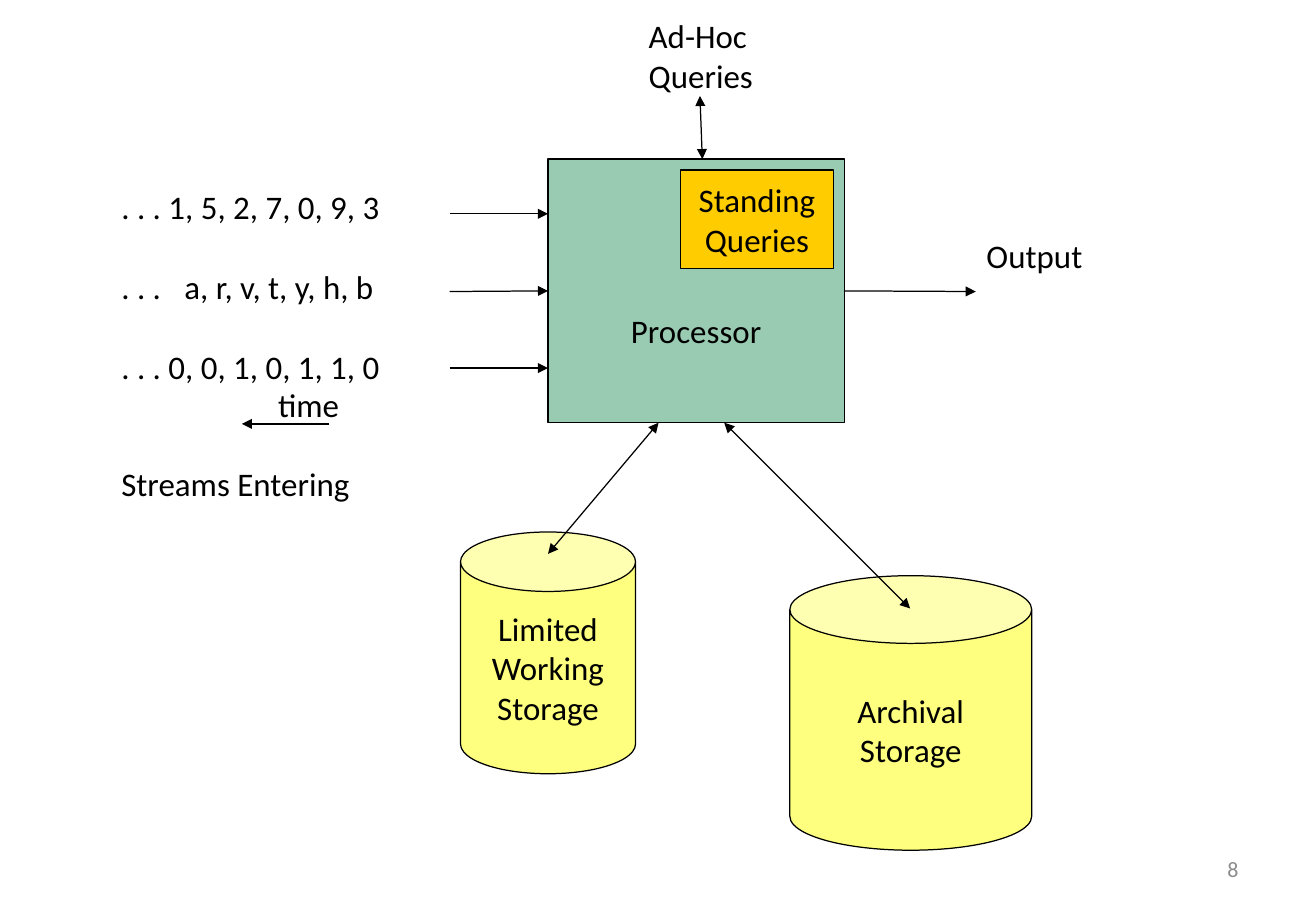
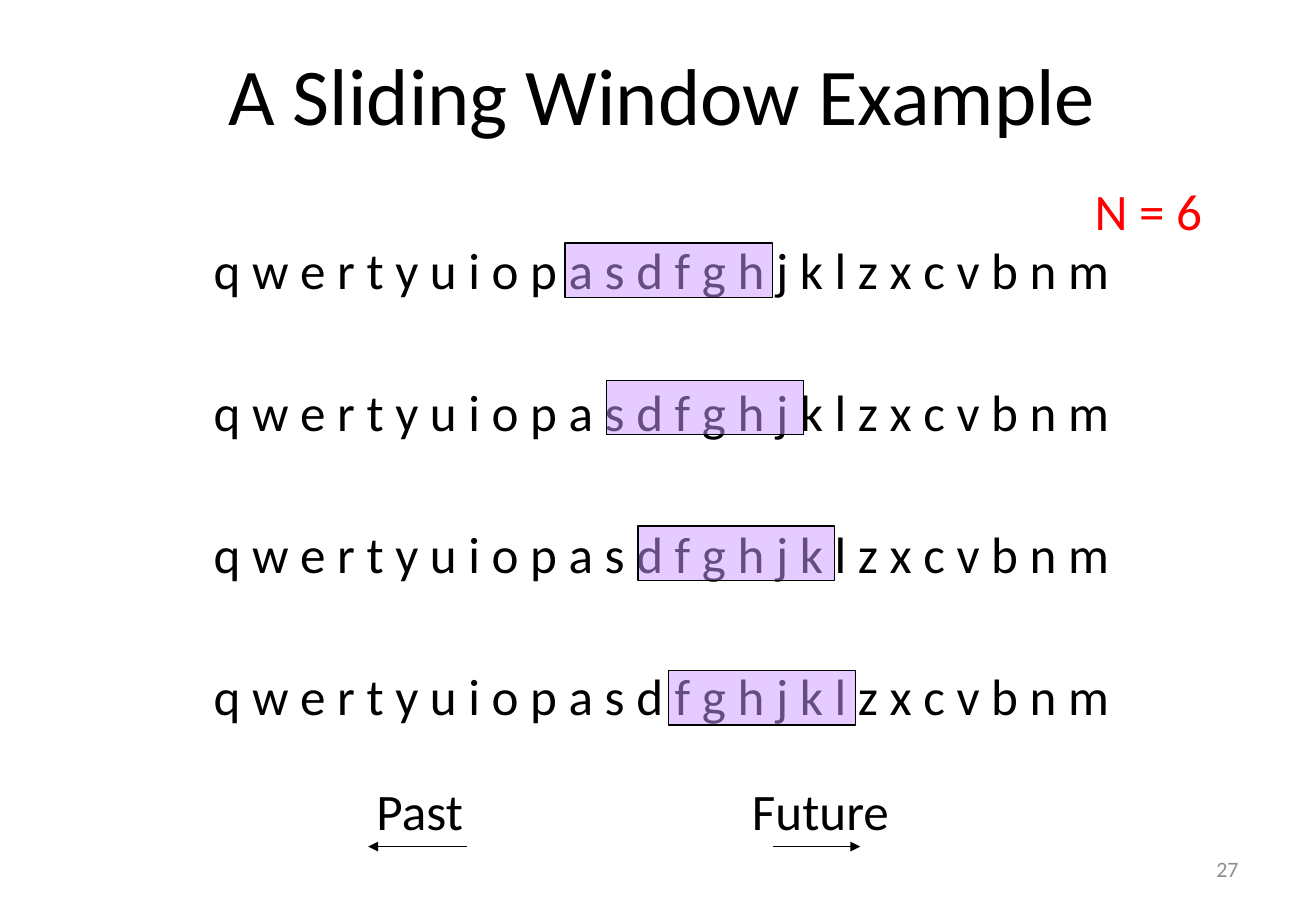
"""Build two slides on stream processing: the system model and a sliding window."""
from dataclasses import dataclass

from lxml.etree import SubElement
from pptx import Presentation
from pptx.dml.color import RGBColor
from pptx.enum.shapes import MSO_CONNECTOR, MSO_SHAPE
from pptx.enum.text import MSO_ANCHOR, PP_ALIGN
from pptx.oxml.ns import qn
from pptx.util import Inches, Pt


@dataclass(frozen=True)
class Theme:
    font: str = "Calibri"
    ink: str = "000000"
    muted: str = "8C8C8C"
    accent: str = "FF0000"
    processor: str = "339966"
    storage: str = "FFFF00"
    standing: str = "FFCC00"
    window: str = "CC99FF"
    title: float = 47.7
    letters: float = 30.3
    label: float = 19.5
    footer: float = 13
    line: float = 0.75


THEME = Theme()
SLIDE_SIZE = (10.83, 7.5)
NUMBER_AREA = (7.76, 6.95, 2.53, 0.4)

STREAMS = [". . . 1, 5, 2, 7, 0, 9, 3", ". . .\ta, r, v, t, y, h, b", ". . . 0, 0, 1, 0, 1, 1, 0"]
STREAM_AREA = (0.9, 1.49, 2.6, 1.75)
STREAM_GAP = 23.8
STREAM_TAB = 0.52
MODEL_LABELS = [
    (["time"], (2.19, 3.12, 0.9, 0.43)),
    (["Streams Entering"], (0.9, 3.77, 2.34, 0.43)),
    (["Ad-Hoc", "Queries"], (5.24, 0.08, 1.2, 0.76)),
    (["Output"], (8.02, 1.89, 1.2, 0.43)),
]
PROCESSOR_AREA = (4.51, 1.31, 2.44, 2.17)
STANDING_AREA = (5.6, 1.4, 1.26, 0.81)
STORES = [
    (["Limited", "Working", "Storage"], (3.79, 4.38, 1.44, 1.99), 0.34),
    (["Archival", "Storage"], (6.5, 4.74, 1.99, 2.26), 0.28),
]
STREAM_ARROW_LEFT = 3.7
STREAM_ARROW_TOPS = (1.76, 2.4, 3.03)
OUTPUT_ARROW = ((6.95, 2.4), (8.03, 2.4))
TIME_ARROW = ((2.71, 3.49), (1.99, 3.49))
TWO_WAY_ARROWS = [
    ((5.42, 3.48), (4.51, 4.56)),
    ((5.76, 0.79), (5.78, 1.31)),
    ((5.96, 3.48), (7.49, 5.01)),
]

WINDOW_TITLE = "A Sliding Window Example"
LETTERS = " ".join("qwertyuiopasdfghjklzxcvbnm")
ROW_LEFT, ROW_TOP, ROW_PITCH = 1.66, 1.91, 1.17
WINDOWS = [(4.65, 2.0, 1.71), (4.99, 3.13, 1.62), (5.25, 4.33, 1.62), (5.5, 5.52, 1.54)]
WINDOW_HEIGHT = 0.45
DIRECTIONS = [("Past", 3.0, 3.84, 3.03), ("Future", 6.09, 6.36, 7.08)]
DIRECTION_TOP, DIRECTION_ARROW_TOP = 6.37, 6.97


def inches(values):
    return [Inches(value) for value in values]


def write(shape, lines, size, color=THEME.ink, align=PP_ALIGN.LEFT,
          anchor=MSO_ANCHOR.TOP, gap=0, tab=None):
    frame = shape.text_frame
    frame.text = "\n".join(lines)
    frame.word_wrap = True
    frame.vertical_anchor = anchor
    for index, para in enumerate(frame.paragraphs):
        para.alignment = align
        if index and gap:
            para.space_before = Pt(gap)
        if tab and "\t" in lines[index]:
            stops = SubElement(para._p.get_or_add_pPr(), qn("a:tabLst"))
            SubElement(stops, qn("a:tab"), pos=str(Inches(tab)), algn="l")
        for span in para.runs:
            span.font.name = THEME.font
            span.font.size = Pt(size)
            span.font.color.rgb = RGBColor.from_string(color)


def add_label(shapes, lines, area, size=THEME.label, **style):
    box = shapes.add_textbox(*inches(area))
    write(box, lines, size, **style)


def add_block(shapes, kind, area, color, lines=(), opacity=50):
    block = shapes.add_shape(kind, *inches(area))
    block.shadow.inherit = False
    block.fill.solid()
    block.fill.fore_color.rgb = RGBColor.from_string(color)
    if opacity < 100:
        color_node = block._element.spPr.find(qn("a:solidFill"))[0]
        SubElement(color_node, qn("a:alpha"), val=str(opacity * 1000))
    block.line.color.rgb = RGBColor.from_string(THEME.ink)
    block.line.width = Pt(THEME.line)
    if lines:
        write(block, lines, THEME.label, align=PP_ALIGN.CENTER, anchor=MSO_ANCHOR.MIDDLE)
    return block


def add_arrow(shapes, start, end, two_way=False):
    arrow = shapes.add_connector(MSO_CONNECTOR.STRAIGHT, *inches((*start, *end)))
    arrow.line.color.rgb = RGBColor.from_string(THEME.ink)
    arrow.line.width = Pt(THEME.line)
    outline = arrow.line._get_or_add_ln()
    for tag in ("a:headEnd", "a:tailEnd") if two_way else ("a:tailEnd",):
        SubElement(outline, qn(tag), type="triangle")
    SubElement(arrow._element.spPr, qn("a:effectLst"))
    return arrow


def add_page(deck, number):
    page = deck.slides.add_slide(deck.slide_layouts[6])
    add_label(page.shapes, [str(number)], NUMBER_AREA, THEME.footer, color=THEME.muted,
              align=PP_ALIGN.RIGHT, anchor=MSO_ANCHOR.MIDDLE)
    return page.shapes


def build_model(deck):
    shapes = add_page(deck, 8)
    processor = add_block(shapes, MSO_SHAPE.RECTANGLE, PROCESSOR_AREA,
                          THEME.processor, ["Processor"])
    processor.text_frame.margin_top = Inches(0.7)
    add_block(shapes, MSO_SHAPE.RECTANGLE, STANDING_AREA, THEME.standing,
              ["Standing", "Queries"], opacity=100)
    for lines, area, depth in STORES:
        store = add_block(shapes, MSO_SHAPE.CAN, area, THEME.storage, lines)
        store.adjustments[0] = depth

    add_label(shapes, STREAMS, STREAM_AREA, gap=STREAM_GAP, tab=STREAM_TAB)
    for lines, area in MODEL_LABELS:
        add_label(shapes, lines, area)

    stream_arrows = [
        add_arrow(shapes, (STREAM_ARROW_LEFT, top), (PROCESSOR_AREA[0], top))
        for top in STREAM_ARROW_TOPS
    ]
    stream_arrows[1].end_connect(processor, 1)
    add_arrow(shapes, *OUTPUT_ARROW).begin_connect(processor, 3)
    add_arrow(shapes, *TIME_ARROW)
    for start, end in TWO_WAY_ARROWS:
        add_arrow(shapes, start, end, two_way=True)


def build_window(deck):
    shapes = add_page(deck, 27)
    add_label(shapes, [WINDOW_TITLE], (1.55, 0.32, 7.8, 0.9), THEME.title,
              align=PP_ALIGN.CENTER)
    add_label(shapes, ["N = 6"], (8.91, 1.43, 1.28, 0.61), THEME.letters,
              color=THEME.accent)
    for index, (left, top, width) in enumerate(WINDOWS):
        row = shapes.add_group_shape().shapes
        add_label(row, [LETTERS], (ROW_LEFT, ROW_TOP + index * ROW_PITCH, 7.8, 0.61),
                  THEME.letters)
        add_block(row, MSO_SHAPE.RECTANGLE, (left, top, width, WINDOW_HEIGHT), THEME.window)
    for word, left, start, end in DIRECTIONS:
        add_label(shapes, [word], (left, DIRECTION_TOP, 1.5, 0.61), THEME.letters)
        add_arrow(shapes, (start, DIRECTION_ARROW_TOP), (end, DIRECTION_ARROW_TOP))


def main():
    deck = Presentation()
    deck.slide_width, deck.slide_height = inches(SLIDE_SIZE)
    build_model(deck)
    build_window(deck)
    deck.save("out.pptx")


if __name__ == "__main__":
    main()
